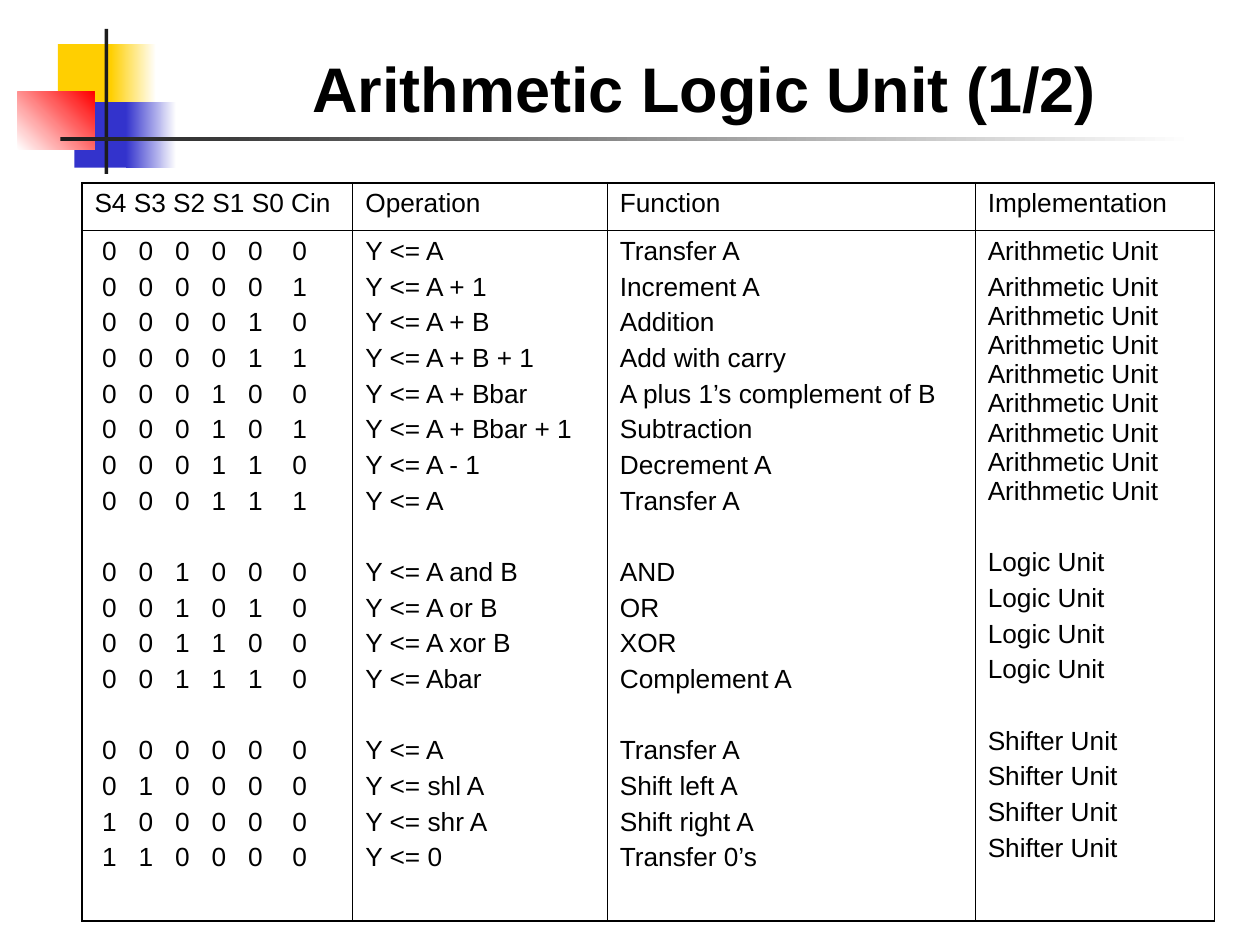
from lxml import etree
from pptx import Presentation
from pptx.dml.color import RGBColor
from pptx.enum import shapes, text
from pptx.oxml import ns
from pptx.util import Inches, Pt

TITLE = "Arithmetic Logic Unit (1/2)"
HEADERS = ["S4 S3 S2 S1 S0 Cin", "Operation", "Function", "Implementation"]
# Each unit: name, then (select bits with carry in, operation, function)
UNITS = [
    ("Arithmetic Unit", [
        ("000000", "Y <= A", "Transfer A"),
        ("000001", "Y <= A + 1", "Increment A"),
        ("000010", "Y <= A + B", "Addition"),
        ("000011", "Y <= A + B + 1", "Add with carry"),
        ("000100", "Y <= A + Bbar", "A plus 1’s complement of B"),
        ("000101", "Y <= A + Bbar + 1", "Subtraction"),
        ("000110", "Y <= A - 1", "Decrement A"),
        ("000111", "Y <= A", "Transfer A"),
    ]),
    ("Logic Unit", [
        ("001000", "Y <= A and B", "AND"),
        ("001010", "Y <= A or B", "OR"),
        ("001100", "Y <= A xor B", "XOR"),
        ("001110", "Y <= Abar", "Complement A"),
    ]),
    ("Shifter Unit", [
        ("000000", "Y <= A", "Transfer A"),
        ("010000", "Y <= shl A", "Shift left A"),
        ("100000", "Y <= shr A", "Shift right A"),
        ("110000", "Y <= 0", "Transfer 0’s"),
    ]),
]
# Left, top, width, height, colours (one is solid, two are a gradient), angle
ORNAMENTS = [
    (0.46, 0.35, 0.48, 0.52, ["FFCF01"], 0),
    (0.88, 0.35, 0.36, 0.52, ["FFCF01", "FFFFFF"], 0),
    (0.59, 0.81, 0.46, 0.52, ["3333CC"], 0),
    (1.00, 0.81, 0.40, 0.52, ["3333CC", "FFFFFF"], 0),
    (0.14, 0.73, 0.61, 0.46, ["FFFFFF", "FF0000"], 45),
    (0.83, 0.23, 0.03, 1.15, ["1C1C1C"], 0),
    (0.48, 1.09, 9.00, 0.03, ["1C1C1C", "FFFFFF"], 0),
]
COLUMN_WIDTHS = [2.15, 2.02, 2.92, 1.9]
ROW_HEIGHTS = [0.38, 5.48]
BIT_TABS = [0.29, 0.58, 0.87, 1.16, 1.51]
BIT_INDENT = 0.06
LINE_GAP, UNIT_GAP = 3.7, 24.1
INNER_BORDER, OUTER_BORDER = 0.45, 1.08


def color(hex_value):
    return RGBColor.from_string(hex_value)


def set_font(paragraph, size, bold=False):
    font = paragraph.font
    for name, value in {"name": "Arial", "size": Pt(size), "bold": bold}.items():
        setattr(font, name, value)
    font.color.rgb = color("000000")


def add_ornament(slide, left, top, width, height, colors, angle):
    block = slide.shapes.add_shape(
        shapes.MSO_SHAPE.RECTANGLE, *map(Inches, (left, top, width, height)))
    block.shadow.inherit = False
    block.line.fill.background()
    if len(colors) == 1:
        block.fill.solid()
        block.fill.fore_color.rgb = color(colors[0])
        return
    block.fill.gradient()
    block.fill.gradient_angle = angle
    for stop, value in zip(block.fill.gradient_stops, colors):
        stop.color.rgb = color(value)


def set_borders(cell, widths):
    """Draw black borders; widths are points for left, right, top, bottom."""
    properties = cell._tc.get_or_add_tcPr()
    for index, (side, width) in enumerate(zip("LRTB", widths)):
        line = etree.Element(ns.qn(f"a:ln{side}"), w=str(Pt(width)))
        fill = etree.SubElement(line, ns.qn("a:solidFill"))
        etree.SubElement(fill, ns.qn("a:srgbClr"), val="000000")
        properties.insert(index, line)


def add_tabs(paragraph, stops):
    tab_list = etree.SubElement(paragraph._p.get_or_add_pPr(), ns.qn("a:tabLst"))
    for stop in stops:
        etree.SubElement(tab_list, ns.qn("a:tab"), pos=str(Inches(stop)), algn="l")


def fill_cell(cell, lines, tabs=()):
    """Write (text, space before) lines, one paragraph each."""
    for index, (line, gap) in enumerate(lines):
        frame = cell.text_frame
        paragraph = frame.add_paragraph() if index else frame.paragraphs[0]
        paragraph.text = line
        if index:
            paragraph.space_before = Pt(gap)
        if tabs:
            add_tabs(paragraph, tabs)
        set_font(paragraph, 15)


def column_lines():
    """Stack the units into the four columns, with a wider gap between units."""
    columns = [[], [], [], []]
    for unit, operations in UNITS:
        names = [unit] * len(operations)
        if unit == "Arithmetic Unit":
            names = [unit, " ".join([unit] * 8)]  # runs on as one wrapped paragraph
        bits, codes, functions = zip(*operations)
        for column, entries in zip(columns, (map("\t".join, bits), codes, functions, names)):
            column += [(entry, LINE_GAP if index else UNIT_GAP)
                       for index, entry in enumerate(entries)]
    return columns


def add_operation_table(slide):
    rows, columns = len(ROW_HEIGHTS), len(COLUMN_WIDTHS)
    table = slide.shapes.add_table(
        rows, columns, Inches(0.65), Inches(1.45),
        Inches(sum(COLUMN_WIDTHS)), Inches(sum(ROW_HEIGHTS))).table
    table.first_row = table.horz_banding = False
    for column, width in zip(table.columns, COLUMN_WIDTHS):
        column.width = Inches(width)
    for row, height in zip(table.rows, ROW_HEIGHTS):
        row.height = Inches(height)

    contents = [[[(header, 0)] for header in HEADERS], column_lines()]
    for r, row_contents in enumerate(contents):
        for c, lines in enumerate(row_contents):
            cell = table.cell(r, c)
            is_bits = r == 1 and c == 0
            cell.margin_left = Inches(0.1 + (BIT_INDENT if is_bits else 0))
            fill_cell(cell, lines, BIT_TABS if is_bits else ())
            cell.fill.background()
            at_edge = (c == 0, c == columns - 1, r == 0, r == rows - 1)
            set_borders(cell, [OUTER_BORDER if edge else INNER_BORDER for edge in at_edge])


def add_title(slide):
    title = slide.shapes.title
    title.left, title.top, title.width, title.height = map(Inches, (2.38, 0.34, 6.56, 0.7))
    frame = title.text_frame
    frame.text = TITLE
    frame.word_wrap = False
    frame.vertical_anchor = text.MSO_ANCHOR.TOP
    frame.paragraphs[0].alignment = text.PP_ALIGN.LEFT
    set_font(frame.paragraphs[0], 36, bold=True)


def main():
    deck = Presentation()
    deck.slide_width, deck.slide_height = Inches(10), Inches(7.5)
    slide = deck.slides.add_slide(deck.slide_layouts[5])
    add_title(slide)
    for ornament in ORNAMENTS:
        add_ornament(slide, *ornament)
    add_operation_table(slide)
    deck.save("out.pptx")


if __name__ == "__main__":
    main()
